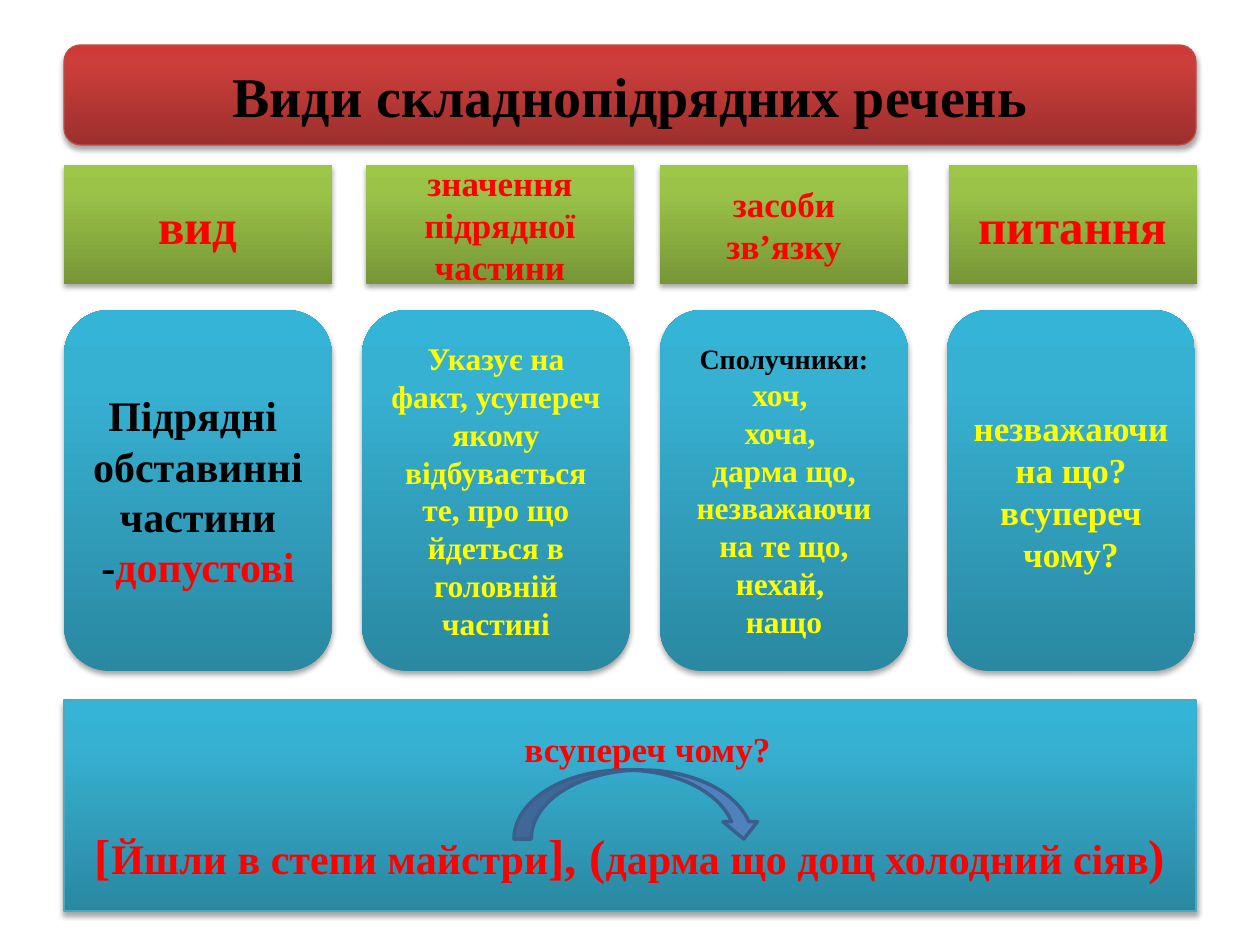
"""Build the slide on kinds of complex sentences."""
from copy import deepcopy
from dataclasses import dataclass

from lxml.etree import SubElement
from pptx import Presentation
from pptx.dml.color import RGBColor
from pptx.enum.shapes import MSO_SHAPE as Preset
from pptx.enum.text import MSO_ANCHOR as Anchor, PP_ALIGN as Align
from pptx.oxml.ns import qn
from pptx.util import Emu, Pt

PIXEL = 914400 // 126
COLOURS = {
    "black": "000000", "red": "FF0000", "yellow": "FFFF00",
    "title_line": "BF4C48", "example_line": "46AAC5",
    "arrow": "4F81BD", "arrow_line": "3A5F8C",
}
GRADIENTS = {
    "red": ("9C2F2D", "CB3E3A", "CE3B37"),
    "green": ("779737", "9BC348", "9DC746"),
    "blue": ("2A88A2", "37B1D2", "34B4D6"),
}
STOPS = (0, 0.8, 1)


@dataclass
class Run:
    text: str
    size: int
    colour: str


@dataclass
class Paragraph:
    runs: list[Run]
    before: int = 0
    indent: int = 0


@dataclass
class Panel:
    box: tuple[int, int, int, int]
    preset: Preset
    gradient: str
    paragraphs: list[Paragraph]
    line: str = ""


def one(text: str, size: int, colour: str, indent: int = 0) -> Paragraph:
    """Return a paragraph of a single run."""
    return Paragraph([Run(text, size, colour)], indent=indent)


def rgb(name: str) -> RGBColor:
    """Return a named colour."""
    return RGBColor.from_string(COLOURS[name])


def place(slide, preset: Preset, box: tuple[int, int, int, int]):
    """Add a preset shape at a pixel box, without a shadow."""
    shape = slide.shapes.add_shape(preset, *(Emu(n * PIXEL) for n in box))
    shape.shadow.inherit = False
    return shape


def add_shadow(shape) -> None:
    """Give the shape a soft shadow below it."""
    effects = shape._element.spPr.find(qn("a:effectLst"))
    shadow = SubElement(effects, qn("a:outerShdw"), blurRad="40000",
                        dist="23000", dir="5400000", rotWithShape="0")
    colour = SubElement(shadow, qn("a:srgbClr"), val=COLOURS["black"])
    SubElement(colour, qn("a:alpha"), val="35000")


def fill_gradient(shape, hexes: tuple[str, str, str]) -> None:
    """Fill the shape upwards through three colours."""
    shape.fill.gradient()
    shape.fill.gradient_angle = 90
    stops = shape._element.spPr.find(qn("a:gradFill")).find(qn("a:gsLst"))
    stops.append(deepcopy(stops[-1]))
    for stop, position, value in zip(shape.fill.gradient_stops, STOPS, hexes):
        stop.position = position
        stop.color.rgb = RGBColor.from_string(value)


def write(shape, paragraphs: list[Paragraph]) -> None:
    """Write centred bold text into the shape."""
    frame = shape.text_frame
    frame.word_wrap = True
    frame.vertical_anchor = Anchor.MIDDLE
    for index, content in enumerate(paragraphs):
        paragraph = frame.add_paragraph() if index else frame.paragraphs[0]
        paragraph.alignment = Align.CENTER
        paragraph.font.name = "Times New Roman"
        paragraph.font.bold = True
        if content.before:
            paragraph.space_before = Pt(content.before)
        if content.indent:
            paragraph._p.get_or_add_pPr().set("marL", str(Pt(content.indent)))
        for part in content.runs:
            run = paragraph.add_run()
            run.text = part.text
            run.font.size = Pt(part.size)
            run.font.color.rgb = rgb(part.colour)


def draw(slide, panel: Panel) -> None:
    """Draw one gradient panel with its text."""
    shape = place(slide, panel.preset, panel.box)
    fill_gradient(shape, GRADIENTS[panel.gradient])
    add_shadow(shape)
    if panel.line:
        shape.line.color.rgb = rgb(panel.line)
        shape.line.width = Pt(0.75)
    else:
        shape.line.fill.background()
    write(shape, panel.paragraphs)


WIDTHS = (268, 268, 248, 248)
HEADING_LEFTS = (64, 366, 660, 949)
DETAIL_LEFTS = (64, 362, 660, 947)
HEADINGS = (("вид", 28), ("значення підрядної частини", 20),
            ("засоби зв’язку", 20), ("питання", 28))
DETAILS = (
    [one("Підрядні ", 24, "black"), one("обставинні", 24, "black"),
     Paragraph([Run("частини -", 24, "black"), Run("допустові", 24, "red")])],
    [one("Указує на факт, усупереч якому відбувається те, про що йдеться "
         "в головній частині", 18, "yellow")],
    [one("Сполучники:", 16, "black")]
    + [one(text, 18, "yellow") for text in (
        "хоч, ", "хоча, ", "дарма що, незважаючи на те що, нехай, ", "нащо")],
    [one("незважаючи на що? всупереч чому?", 20, "yellow")],
)
EXAMPLE = [
    one("всупереч чому?", 20, "red", indent=20),
    Paragraph([Run(text, size, "red") for text, size in (
        ("[", 28), ("Йшли в степи майстри", 24), ("], (", 28),
        ("дарма що дощ холодний сіяв", 24), (")", 28))], before=32),
]
PANELS = [
    Panel((64, 45, 1132, 100), Preset.ROUNDED_RECTANGLE, "red",
          [one("Види складнопідрядних речень", 32, "black")], "title_line"),
    *(Panel((left, 165, width, 119), Preset.RECTANGLE, "green",
            [one(text, size, "red")])
      for left, width, (text, size) in zip(HEADING_LEFTS, WIDTHS, HEADINGS)),
    *(Panel((left, 310, width, 361), Preset.ROUNDED_RECTANGLE, "blue", detail)
      for left, width, detail in zip(DETAIL_LEFTS, WIDTHS, DETAILS)),
    Panel((64, 700, 1132, 211), Preset.RECTANGLE, "blue", EXAMPLE,
          "example_line"),
]

deck = Presentation()
deck.slide_width, deck.slide_height = Emu(1260 * PIXEL), Emu(945 * PIXEL)
slide = deck.slides.add_slide(deck.slide_layouts[6])
for panel in PANELS:
    draw(slide, panel)
arrow = place(slide, Preset.CURVED_DOWN_ARROW, (514, 770, 247, 69))
arrow.fill.solid()
arrow.fill.fore_color.rgb = rgb("arrow")
arrow.line.color.rgb = rgb("arrow_line")
arrow.line.width = Pt(2)
deck.save("out.pptx")
